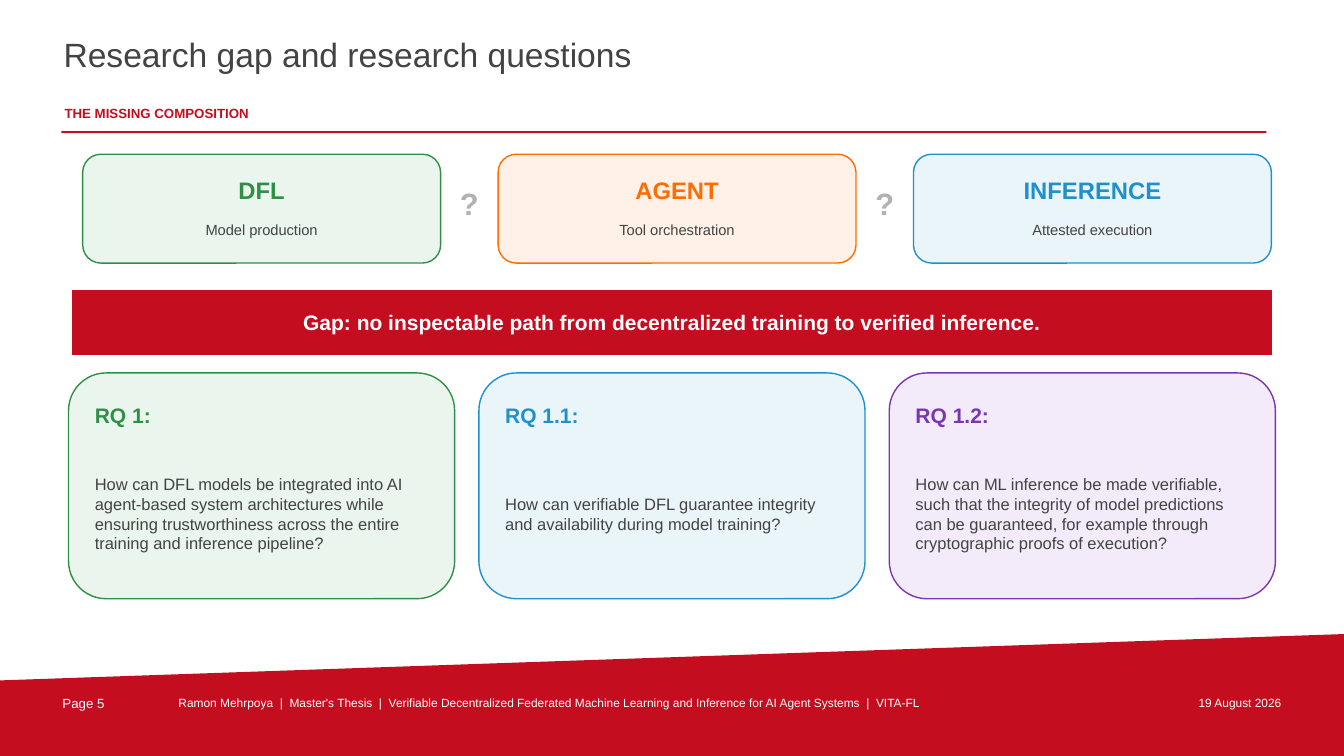
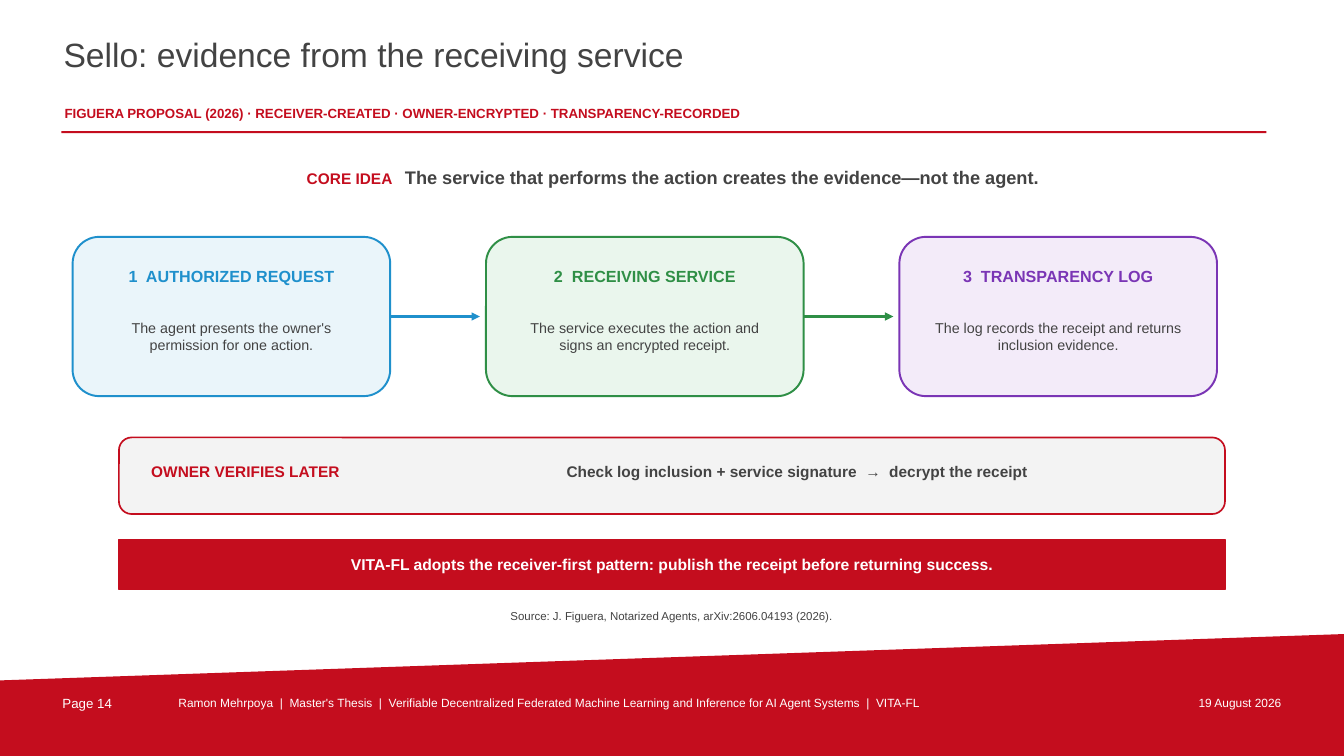
from lxml.etree import SubElement as Sub
from pptx import Presentation as Deck
from pptx.dml.color import RGBColor as Rgb
from pptx.enum.shapes import MSO_CONNECTOR as Link, MSO_SHAPE as Form
from pptx.enum.text import MSO_ANCHOR as Anchor, MSO_AUTO_SIZE as Fit, PP_ALIGN as Align
from pptx.oxml.ns import qn
from pptx.util import Inches, Pt

RED = Rgb(0xC4, 0x0D, 0x1E)
INK = Rgb(0x43, 0x43, 0x43)
WHITE = Rgb(0xFF, 0xFF, 0xFF)
GRAY = Rgb(0xB2, 0xB2, 0xB2)
PALE = Rgb(0xF3, 0xF3, 0xF3)
GREEN = Rgb(0x2F, 0x8F, 0x46)
MINT = Rgb(0xEA, 0xF6, 0xED)
ORANGE = Rgb(0xFF, 0x6C, 0x00)
PEACH = Rgb(0xFF, 0xF1, 0xE7)
BLUE = Rgb(0x1F, 0x90, 0xCC)
SKY = Rgb(0xEA, 0xF5, 0xFA)
PURPLE = Rgb(0x7A, 0x35, 0xB5)
LILAC = Rgb(0xF3, 0xEB, 0xF9)

FONT = "Arial"
WIDE, HIGH = 13.33, 7.5
CREDIT = (
    "Ramon Mehrpoya  |  Master's Thesis  |  Verifiable Decentralized Federated "
    "Machine Learning and Inference for AI Agent Systems  |  VITA-FL"
)
DATE = "19 August 2026"


class Pen:
    def __init__(self):
        self.deck = Deck()
        self.deck.slide_width = Inches(WIDE)
        self.deck.slide_height = Inches(HIGH)
        self.shapes = None

    def paint(self, shape, fill, line=None, width=1):
        shape.shadow.inherit = False
        shape.fill.solid()
        shape.fill.fore_color.rgb = fill
        if line is None:
            shape.line.fill.background()
        else:
            shape.line.color.rgb = line
            shape.line.width = Pt(width)
        return shape

    def box(self, x, y, w, h, fill, line=None, width=1, form=Form.RECTANGLE):
        shape = self.shapes.add_shape(form, Inches(x), Inches(y), Inches(w), Inches(h))
        return self.paint(shape, fill, line, width)

    def card(self, x, y, w, h, fill, line, width=1):
        return self.box(x, y, w, h, fill, line, width, Form.ROUNDED_RECTANGLE)

    def text(self, x, y, w, h, *runs, align=Align.LEFT, mid=False):
        area = self.shapes.add_textbox(Inches(x), Inches(y), Inches(w), Inches(h))
        frame = area.text_frame
        frame.word_wrap = True
        frame.auto_size = Fit.SHAPE_TO_FIT_TEXT
        frame.vertical_anchor = Anchor.MIDDLE if mid else Anchor.TOP
        frame.margin_left = frame.margin_right = Inches(0.02)
        frame.margin_top = frame.margin_bottom = Inches(0.02)
        para = frame.paragraphs[0]
        para.alignment = align
        for words, size, color, bold in runs:
            run = para.add_run()
            run.text = words
            run.font.name = FONT
            run.font.size = Pt(size)
            run.font.color.rgb = color
            run.font.bold = bold

    def label(self, x, y, w, h, *runs, mid=True):
        self.text(x, y, w, h, *runs, align=Align.CENTER, mid=mid)

    def arrow(self, start, x, y, color):
        line = self.shapes.add_connector(Link.STRAIGHT, 0, 0, Inches(x), Inches(y))
        line.begin_connect(start, 3)
        line.line.color.rgb = color
        line.line.width = Pt(1.7)
        Sub(line.line._get_or_add_ln(), qn("a:tailEnd"), type="triangle")
        Sub(line._element.spPr, qn("a:effectLst"))

    def wedge(self):
        path = self.shapes.build_freeform(0, Inches(6.75))
        ends = [(WIDE, 6.29), (WIDE, HIGH), (0, HIGH)]
        path.add_line_segments([(Inches(x), Inches(y)) for x, y in ends], close=True)
        self.paint(path.convert_to_shape(), RED)

    def page(self, title, lead, number):
        slide = self.deck.slides.add_slide(self.deck.slide_layouts[6])
        self.shapes = slide.shapes
        self.wedge()
        self.text(0.61, 0.32, 9.65, 0.62, (title, 24, INK, False))
        self.text(0.62, 1.02, 9.7, 0.22, (lead, 9.5, RED, True))
        self.box(0.61, 1.3, 11.95, 0.02, RED)
        self.text(0.6, 6.88, 1, 0.22, (f"Page {number}", 9.5, WHITE, False))
        self.text(1.75, 6.88, 9.35, 0.22, (CREDIT, 8.5, WHITE, False))
        self.text(11.2, 6.88, 1.53, 0.22, (DATE, 8.5, WHITE, False), align=Align.RIGHT)


def draw_gap(pen):
    pen.page("Research gap and research questions", "THE MISSING COMPOSITION", 5)
    parts = [
        ("DFL", "Model production", GREEN, MINT),
        ("AGENT", "Tool orchestration", ORANGE, PEACH),
        ("INFERENCE", "Attested execution", BLUE, SKY),
    ]
    for i, (name, role, color, tint) in enumerate(parts):
        x = 0.82 + 4.12 * i
        if i:
            pen.label(x - 0.47, 1.82, 0.37, 0.4, ("?", 22, GRAY, True))
        pen.card(x, 1.53, 3.55, 1.08, tint, color)
        pen.label(x + 0.15, 1.72, 3.25, 0.32, (name, 17, color, True))
        pen.label(x + 0.15, 2.14, 3.25, 0.27, (role, 10.5, INK, False))

    pen.box(0.72, 2.88, 11.89, 0.64, RED, RED)
    claim = "Gap: no inspectable path from decentralized training to verified inference."
    pen.label(0.95, 3.02, 11.43, 0.36, (claim, 15, WHITE, True))

    asks = [
        ("RQ 1:", "How can DFL models be integrated into AI agent-based system "
         "architectures while ensuring trustworthiness across the entire training "
         "and inference pipeline?", GREEN, MINT),
        ("RQ 1.1:", "How can verifiable DFL guarantee integrity and availability "
         "during model training?", BLUE, SKY),
        ("RQ 1.2:", "How can ML inference be made verifiable, such that the integrity "
         "of model predictions can be guaranteed, for example through cryptographic "
         "proofs of execution?", PURPLE, LILAC),
    ]
    for i, (name, ask, color, tint) in enumerate(asks):
        x = 0.68 + 4.07 * i
        pen.card(x, 3.7, 3.83, 2.24, tint, color)
        pen.text(x + 0.24, 3.95, 1.15, 0.34, (name, 15, color, True), mid=True)
        pen.text(x + 0.24, 4.38, 3.35, 1.43, (ask, 11.8, INK, False), mid=True)


def draw_proof(pen):
    pen.page(
        "Sello: evidence from the receiving service",
        "FIGUERA PROPOSAL (2026) · RECEIVER-CREATED · OWNER-ENCRYPTED · TRANSPARENCY-RECORDED",
        14,
    )
    core = "The service that performs the action creates the evidence—not the agent."
    pen.label(0.78, 1.61, 11.78, 0.3,
              ("CORE IDEA   ", 11, RED, True), (core, 13, INK, True))

    steps = [
        ("1  AUTHORIZED REQUEST",
         "The agent presents the owner's permission for one action.", BLUE, SKY),
        ("2  RECEIVING SERVICE",
         "The service executes the action and signs an encrypted receipt.", GREEN, MINT),
        ("3  TRANSPARENCY LOG",
         "The log records the receipt and returns inclusion evidence.", PURPLE, LILAC),
    ]
    for i, (name, note, color, tint) in enumerate(steps):
        x = 0.72 + 4.1 * i
        card = pen.card(x, 2.35, 3.15, 1.58, tint, color, 1.4)
        pen.label(x + 0.18, 2.62, 2.79, 0.27, (name, 11.5, color, True), mid=False)
        pen.label(x + 0.3, 3.1, 2.55, 0.48, (note, 10.2, INK, False))
        if i < len(steps) - 1:
            pen.arrow(card, x + 4.04, 3.14, color)

    pen.card(1.18, 4.34, 10.97, 0.76, PALE, RED, 1.2)
    pen.text(1.48, 4.56, 2.47, 0.24, ("OWNER VERIFIES LATER", 11, RED, True))
    check = "Check log inclusion + service signature  →  decrypt the receipt"
    pen.label(4.06, 4.54, 7.7, 0.27, (check, 11, INK, True))

    pen.box(1.18, 5.35, 10.97, 0.5, RED, RED)
    rule = ("VITA-FL adopts the receiver-first pattern: "
            "publish the receipt before returning success.")
    pen.label(1.45, 5.48, 10.43, 0.23, (rule, 11.2, WHITE, True), mid=False)
    source = "Source: J. Figuera, Notarized Agents, arXiv:2606.04193 (2026)."
    pen.label(0.8, 6.02, 11.72, 0.18, (source, 8.2, INK, False), mid=False)


def main():
    pen = Pen()
    draw_gap(pen)
    draw_proof(pen)
    pen.deck.save("out.pptx")


if __name__ == "__main__":
    main()
